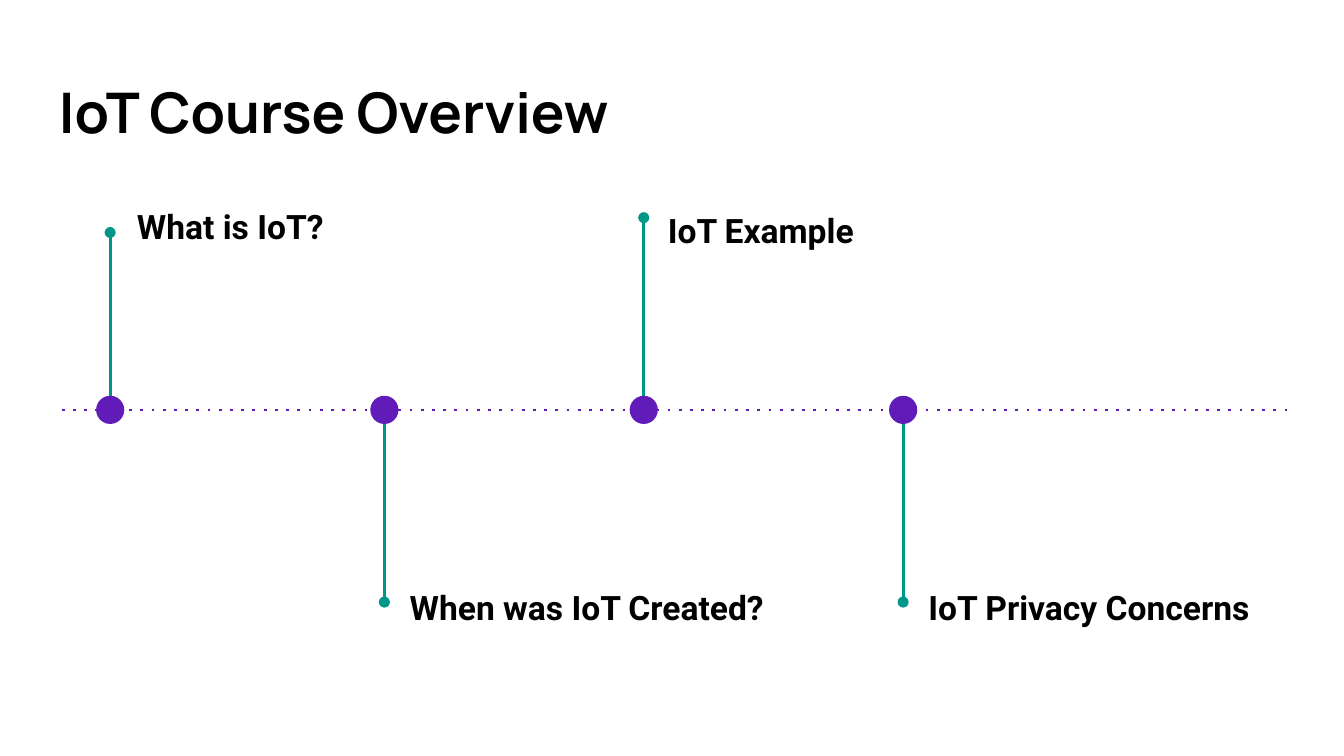
from lxml import etree
from pptx import Presentation
from pptx import util as u
from pptx.dml.color import RGBColor
from pptx.enum import shapes, text
from pptx.oxml.ns import qn

BLACK = RGBColor(0x00, 0x00, 0x00)
PURPLE = RGBColor(0x61, 0x1B, 0xB8)
TEAL = RGBColor(0x00, 0x96, 0x88)

AXIS_Y = 3.05
DOT_SIZE = 0.21

# label, milestone x, stem end y, label left, label top, label width
MILESTONES = [
    ("What is IoT?", 0.82, 1.73, 0.92, 1.39, 2.91),
    ("When was IoT Created?", 2.86, 4.48, 2.95, 4.22, 3.01),
    ("IoT Example", 4.79, 1.62, 4.87, 1.42, 2.91),
    ("IoT Privacy Concerns", 6.72, 4.48, 6.81, 4.22, 2.91),
]


class TimelineSlide:
    def __init__(self, prs):
        self.s = prs.slides.add_slide(prs.slide_layouts[6])

    def text(self, words, x, y, w, h, font, size, spacing=1.0,
             anchor=text.MSO_ANCHOR.TOP):
        box = self.s.shapes.add_textbox(*map(u.Inches, (x, y, w, h)))
        tf = box.text_frame
        tf.word_wrap = True
        tf.vertical_anchor = anchor
        tf.margin_left = tf.margin_right = u.Inches(0.1)
        tf.margin_top = tf.margin_bottom = u.Inches(0.1)
        p = tf.paragraphs[0]
        p.line_spacing = spacing
        r = p.add_run()
        r.text = words
        r.font.name = font
        r.font.size = u.Pt(size)
        r.font.bold = True
        r.font.color.rgb = BLACK

    def line(self, x1, y1, x2, y2, color, **extras):
        """Draw a line; extras map DrawingML line tags to their attributes."""
        c = self.s.shapes.add_connector(
            shapes.MSO_CONNECTOR.STRAIGHT, *map(u.Inches, (x1, y1, x2, y2)))
        c.line.color.rgb = color
        c.line.width = u.Pt(1.5)
        ln = c.line._get_or_add_ln()
        for tag, attributes in extras.items():
            etree.SubElement(ln, qn(f"a:{tag}"), attributes)
        etree.SubElement(c._element.spPr, qn("a:effectLst"))

    def dot(self, x, y):
        corner = (x - DOT_SIZE / 2, y - DOT_SIZE / 2)
        sp = self.s.shapes.add_shape(
            shapes.MSO_SHAPE.OVAL,
            *map(u.Inches, (*corner, DOT_SIZE, DOT_SIZE)))
        sp.shadow.inherit = False
        sp.fill.solid()
        sp.fill.fore_color.rgb = PURPLE
        sp.line.fill.background()

    def milestone(self, label, x, end_y, left, top, width):
        self.line(x, AXIS_Y, x, end_y, TEAL, tailEnd={"type": "oval"})
        self.dot(x, AXIS_Y)
        self.text(label, left, top, width, 1.06, "Roboto", 18, spacing=1.15)


def main():
    prs = Presentation()
    prs.slide_width = u.Inches(10)
    prs.slide_height = prs.slide_width * 9 // 16

    slide = TimelineSlide(prs)
    slide.text("IoT Course Overview", 0.34, 0.49, 9.32, 0.68, "Manrope", 30,
               anchor=text.MSO_ANCHOR.MIDDLE)
    slide.line(0.46, AXIS_Y, 9.58, AXIS_Y, PURPLE, prstDash={"val": "dot"})
    for milestone in MILESTONES:
        slide.milestone(*milestone)

    prs.save("out.pptx")


if __name__ == "__main__":
    main()
